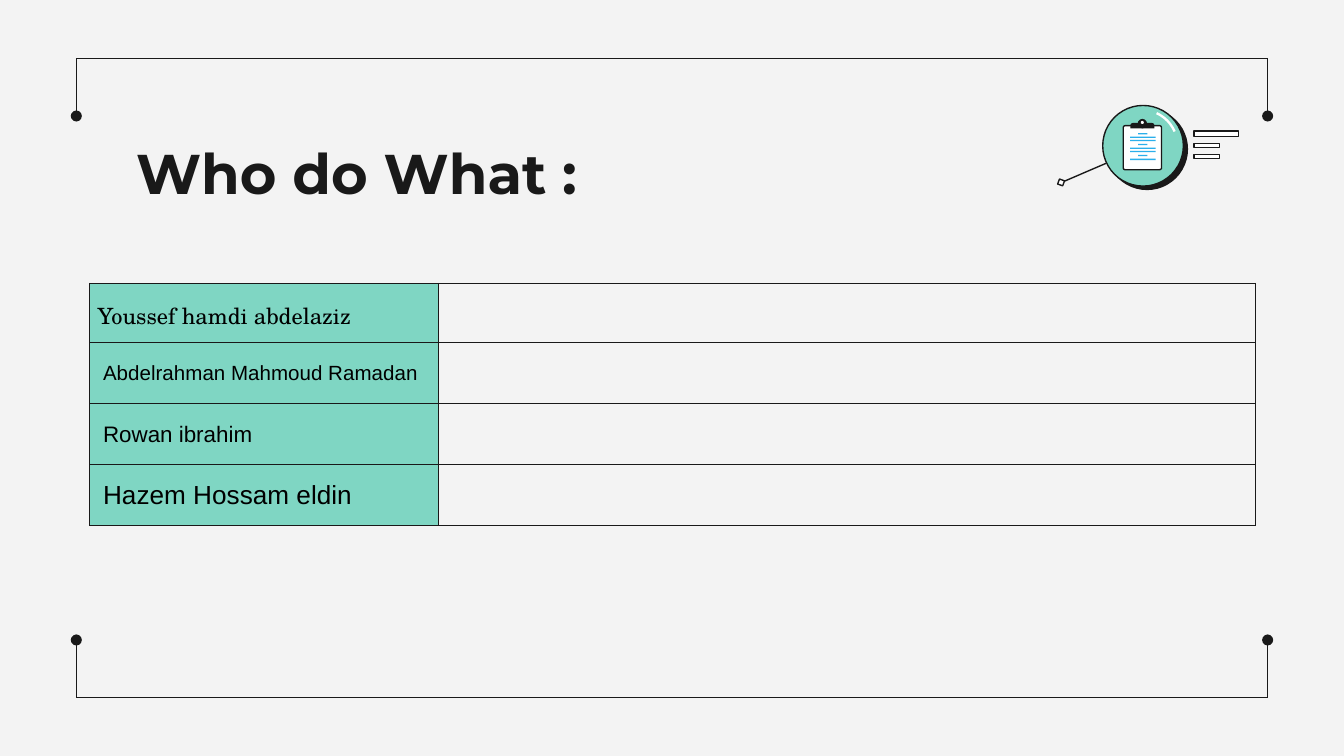
from dataclasses import dataclass

from lxml.etree import SubElement
from pptx import Presentation
from pptx.dml.color import RGBColor
from pptx.enum.shapes import MSO_CONNECTOR, MSO_SHAPE as Preset
from pptx.enum.text import MSO_ANCHOR, PP_ALIGN
from pptx.oxml import parse_xml
from pptx.oxml.ns import nsdecls, qn
from pptx.util import Inches, Pt

COLUMNS, ROWS = 100, 56.25


@dataclass(frozen=True)
class Theme:
    paper: str = "F3F3F3"
    ink: str = "191919"
    mint: str = "7FD6C3"
    white: str = "FFFFFF"
    blue: str = "2AAFEB"
    black: str = "000000"
    title_font: str = "Montserrat"
    script_font: str = "TeX Gyre Schola"
    body_font: str = "Arial"
    title_size: float = 30
    large: float = 14
    medium: float = 12
    small: float = 11
    rule: float = 0.75
    gleam: float = 1.25


class SlideBuilder:
    """Places elements on a grid of 100 columns by 56.25 rows."""

    def __init__(self, deck, theme):
        self.theme = theme
        self.cell_width = deck.slide_width / COLUMNS
        self.cell_height = deck.slide_height / ROWS
        self.slide = deck.slides.add_slide(deck.slide_layouts[6])
        self.paint(self.slide.background.fill, theme.paper)

    def x(self, columns):
        return round(columns * self.cell_width)

    def y(self, rows):
        return round(rows * self.cell_height)

    def area(self, left, top, width, height):
        return self.x(left), self.y(top), self.x(width), self.y(height)

    def paint(self, fill, color):
        if color:
            fill.solid()
            fill.fore_color.rgb = RGBColor.from_string(color)
        else:
            fill.background()

    def style(self, paragraph, font, size, color, bold=False):
        for run in paragraph.runs:
            run.font.name, run.font.size, run.font.bold = font, Pt(size), bold
            run.font.color.rgb = RGBColor.from_string(color)

    def line(self, start, end, dot=False):
        rule = self.slide.shapes.add_connector(
            MSO_CONNECTOR.STRAIGHT,
            self.x(start[0]), self.y(start[1]), self.x(end[0]), self.y(end[1]))
        self.paint(rule.line.fill, self.theme.ink)
        rule.line.width = Pt(self.theme.rule)
        if dot:
            SubElement(rule.line._get_or_add_ln(), qn("a:tailEnd"), type="oval")
        SubElement(rule._element.spPr, qn("a:effectLst"))

    def shape(self, preset, box, fill=None, outline=None, width=None, turn=0):
        item = self.slide.shapes.add_shape(preset, *self.area(*box))
        item.shadow.inherit = False
        item.rotation = turn
        self.paint(item.fill, fill)
        self.paint(item.line.fill, outline)
        if outline:
            item.line.width = Pt(width or self.theme.rule)
        return item

    def title(self, wording, box):
        frame = self.slide.shapes.add_textbox(*self.area(*box)).text_frame
        frame.word_wrap = True
        frame.margin_left = frame.margin_right = Inches(0.1)
        frame.margin_top = frame.margin_bottom = Inches(0.1)
        frame.text = wording
        theme = self.theme
        self.style(frame.paragraphs[0], theme.title_font, theme.title_size, theme.ink, True)

    def border(self, cell):
        properties = cell._tc.get_or_add_tcPr()
        for position, side in enumerate("LRTB"):
            properties.insert(position, parse_xml(
                f'<a:ln{side} {nsdecls("a")} w="{Pt(self.theme.rule)}"><a:solidFill>'
                f'<a:srgbClr val="{self.theme.ink}"/></a:solidFill></a:ln{side}>'))

    def table(self, people, corner, widths, heights):
        """Lists people as (name, font, size, side margin) beside empty task cells."""
        box = (*corner, sum(widths), sum(heights))
        grid = self.slide.shapes.add_table(len(people), len(widths), *self.area(*box)).table
        grid.first_row = grid.horz_banding = False
        for column, width in zip(grid.columns, widths):
            column.width = self.x(width)
        for row, height, (name, font, size, margin) in zip(grid.rows, heights, people):
            row.height = self.y(height)
            person, task = row.cells
            person.text = name
            person.vertical_anchor = MSO_ANCHOR.MIDDLE
            person.margin_left = person.margin_right = Inches(margin)
            person.margin_top = person.margin_bottom = 0
            self.style(person.text_frame.paragraphs[0], font, size, self.theme.black)
            for cell, fill in ((person, self.theme.mint), (task, None)):
                self.paint(cell.fill, fill)
                self.border(cell)
        return grid

    def frame(self, left, right, edges):
        """Draws a bracket at each (edge, dotted end) pair of rows."""
        for edge, end in edges:
            self.line((left, edge), (right, edge))
            for side in (left, right):
                self.line((side, edge), (side, end), dot=True)

    def clipboard_icon(self):
        theme = self.theme
        ink, white = theme.ink, theme.white
        for top, width, height in ((9.75, 3.33, 0.4), (10.68, 1.9, 0.3), (11.48, 1.9, 0.3)):
            self.shape(Preset.RECTANGLE, (88.83, top, width, height), white, ink)
        self.line((82.3, 12.15), (79.05, 13.55))
        self.shape(Preset.RECTANGLE, (78.75, 13.38, 0.4, 0.4), white, ink, turn=20)

        self.shape(Preset.OVAL, (82.35, 8.1, 6, 6), ink, ink)
        self.shape(Preset.OVAL, (82.05, 7.85, 6, 6), theme.mint, ink)
        gleam = self.shape(Preset.ARC, (82.4, 8.2, 5.2, 5.2), None, white, theme.gleam)
        for index, degrees in enumerate((294, 337)):
            gleam.adjustments[index] = degrees * 0.6

        board = self.shape(Preset.ROUNDED_RECTANGLE, (83.58, 9.35, 2.85, 3.28), white, ink)
        board.adjustments[0] = 0.05
        clip = self.shape(Preset.ROUND_2_SAME_RECTANGLE, (84.1, 9.15, 1.8, 0.4), ink)
        clip.adjustments[0] = 0.5
        self.shape(Preset.OVAL, (84.65, 8.85, 0.7, 0.7), ink)
        self.shape(Preset.OVAL, (84.88, 9, 0.23, 0.23), white)

        short, long = 0.7, 1.9
        strokes = ((9.95, short), (10.22, long), (10.46, long), (10.75, short),
                   (11.04, long), (11.28, long), (11.57, short), (11.86, long))
        for middle, width in strokes:
            self.shape(Preset.RECTANGLE, (85.03 - width / 2, middle - 0.05, width, 0.1), theme.blue)


def main():
    deck = Presentation()
    deck.slide_width = Inches(10)
    deck.slide_height = deck.slide_width * 9 // 16
    theme = Theme()
    page = SlideBuilder(deck, theme)
    page.frame(5.68, 94.32, ((4.35, 8.63), (51.9, 47.62)))
    page.title("Who do What :", (9.14, 9.3, 54, 4.8))

    people = (
        ("Youssef hamdi abdelaziz", theme.script_font, theme.medium, 0.06),
        ("Abdelrahman Mahmoud Ramadan", theme.body_font, theme.small, 0.1),
        ("Rowan ibrahim", theme.body_font, theme.medium, 0.1),
        ("Hazem Hossam eldin", theme.body_font, theme.large, 0.1),
    )
    roster = page.table(people, (6.67, 21.1), (25.93, 60.8), (4.4, 4.54, 4.54, 4.54))
    lead = roster.cell(0, 0).text_frame.paragraphs[0]
    lead.alignment = PP_ALIGN.JUSTIFY
    lead.line_spacing = 1.15
    lead.space_after = Pt(10)

    page.clipboard_icon()
    deck.save("out.pptx")


if __name__ == "__main__":
    main()
